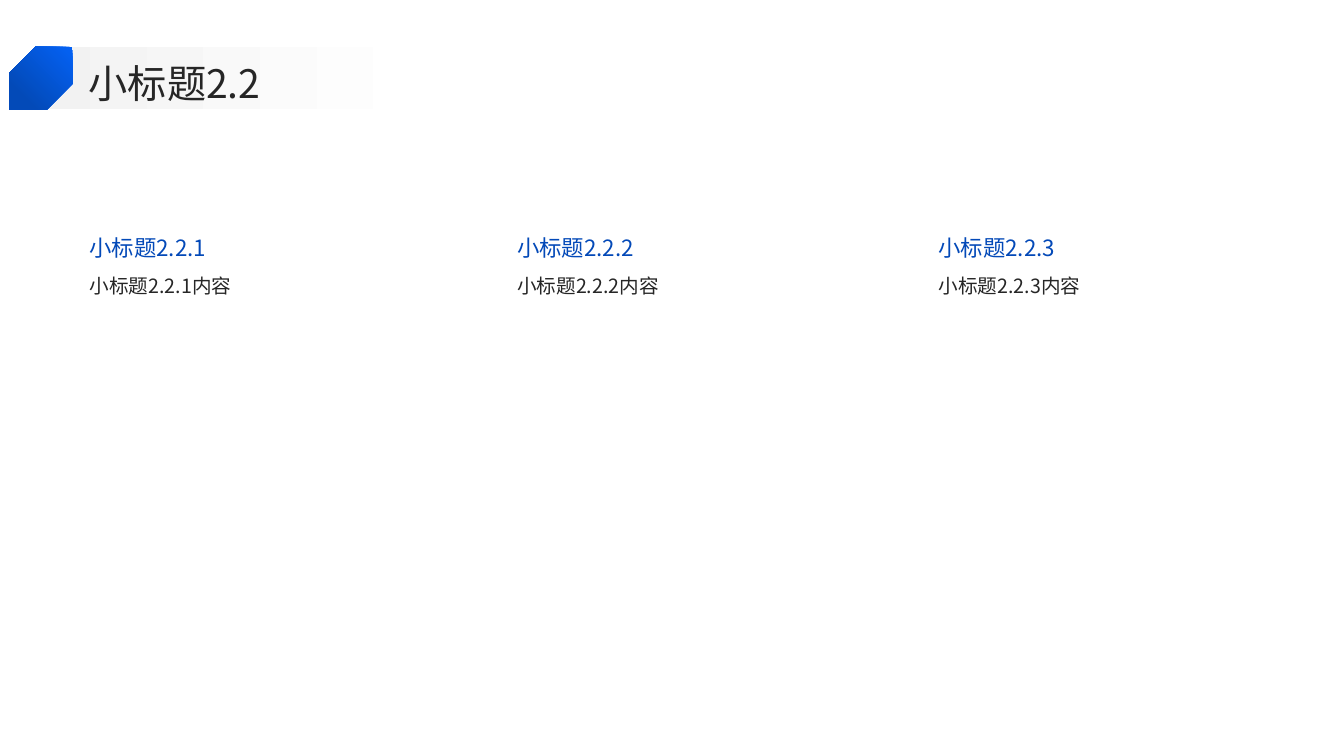
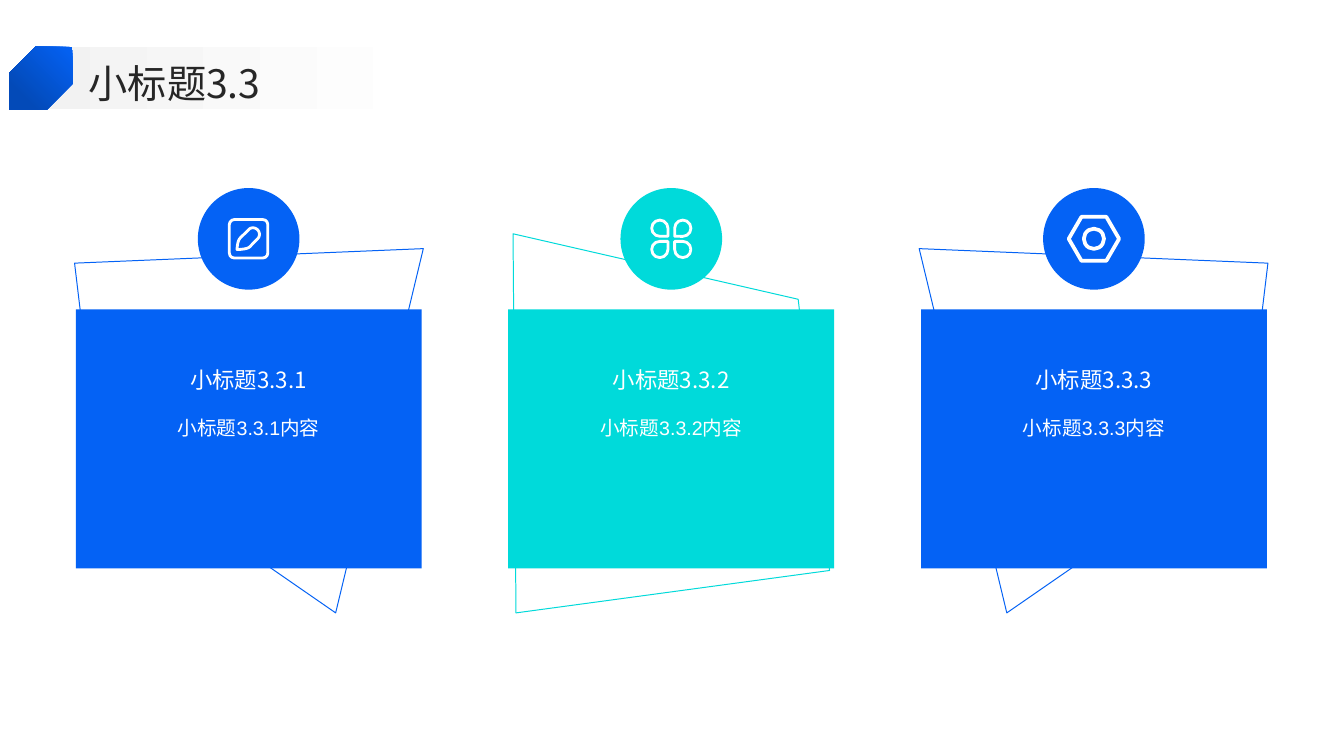
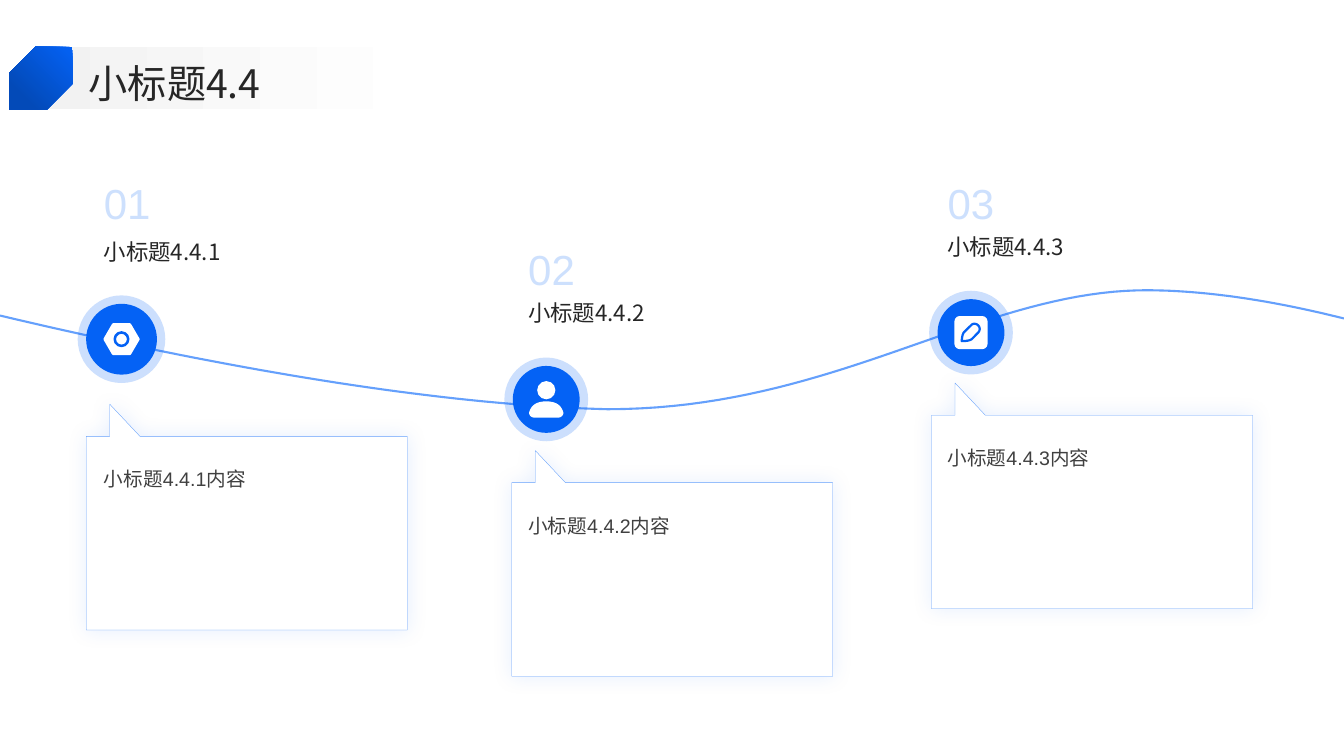
from dataclasses import dataclass
from typing import Callable, NamedTuple, Optional

from pptx import Presentation
from pptx.dml.color import RGBColor
from pptx.enum import shapes, text
from pptx.oxml import parse_xml
from pptx.oxml.ns import nsdecls, qn
from pptx.oxml.xmlchemy import OxmlElement
from pptx.shapes.autoshape import Shape
from pptx.slide import Slide
from pptx.util import Pt

WHITE = RGBColor(0xFF, 0xFF, 0xFF)
BLUE = RGBColor(0x04, 0x62, 0xF5)
DEEP_BLUE = RGBColor(0x03, 0x4A, 0xB8)
HEADING_BLUE = RGBColor(0x03, 0x49, 0xB8)
LINE_BLUE = RGBColor(0x65, 0xA0, 0xFC)
PALE_BLUE = RGBColor(0xCD, 0xE0, 0xFD)
CYAN = RGBColor(0x00, 0xDA, 0xDA)
INK = RGBColor(0x26, 0x26, 0x26)
SOFT_INK = RGBColor(0x40, 0x40, 0x40)
BAND_GREY = RGBColor(0xF2, 0xF2, 0xF2)

CJK = "Noto Sans CJK SC"
LATIN = "Arial"
KIND = shapes.MSO_SHAPE
MIDDLE, BOTTOM = text.MSO_ANCHOR.MIDDLE, text.MSO_ANCHOR.BOTTOM
CENTRE = text.PP_ALIGN.CENTER

Point = tuple[float, float]
Segment = tuple[Point, ...]  # one point: straight; three points: cubic curve


class Box(NamedTuple):
    left: float
    top: float
    width: float
    height: float


class Paint(NamedTuple):
    fill: Optional[RGBColor] = None
    line: Optional[RGBColor] = None
    weight: float = 0


@dataclass(frozen=True)
class TextStyle:
    size: float
    font: str
    colour: RGBColor
    spacing: float = 1.0
    anchor: text.MSO_ANCHOR = text.MSO_ANCHOR.TOP
    align: text.PP_ALIGN = text.PP_ALIGN.LEFT


TITLE = TextStyle(28, CJK, INK, 1.1, MIDDLE)
COLUMN_HEADING = TextStyle(16, CJK, HEADING_BLUE, 1.1, MIDDLE)
COLUMN_BODY = TextStyle(14, CJK, INK, 1.5)
CARD_HEADING = TextStyle(16, CJK, WHITE, 1.3, BOTTOM, CENTRE)
CARD_BODY = TextStyle(14, LATIN, WHITE, 1.5, align=CENTRE)
STEP_NUMBER = TextStyle(30, LATIN, PALE_BLUE)
STEP_HEADING = TextStyle(16, CJK, INK, 1.3)
STEP_BODY = TextStyle(14, LATIN, SOFT_INK, 1.5)


def centred(x: float, y: float, width: float, height: float) -> Box:
    return Box(x - width / 2, y - height / 2, width, height)


def apply_paint(shape: Shape, paint: Paint) -> None:
    shape.shadow.inherit = False
    if paint.fill is None:
        shape.fill.background()
    else:
        shape.fill.solid()
        shape.fill.fore_color.rgb = paint.fill
    if paint.line is None:
        shape.line.fill.background()
    else:
        shape.line.color.rgb = paint.line
        shape.line.width = Pt(paint.weight)


def add_preset(slide: Slide, kind: KIND, box: Box, paint: Paint) -> Shape:
    shape = slide.shapes.add_shape(kind, *map(Pt, box))
    apply_paint(shape, paint)
    return shape


def add_outline(slide: Slide, points: list[Point], paint: Paint, close: bool = True) -> Shape:
    start, *rest = [(Pt(x), Pt(y)) for x, y in points]
    builder = slide.shapes.build_freeform(*start)
    builder.add_line_segments(rest, close=close)
    shape = builder.convert_to_shape()
    apply_paint(shape, paint)
    return shape


def flatten(start: Point, segments: tuple[Segment, ...], steps: int) -> list[Point]:
    """Turn straight and cubic segments into a list of points."""
    points = [start]
    for segment in segments:
        if len(segment) == 1:
            points.append(segment[0])
            continue
        corners = (points[-1], *segment)
        for step in range(1, steps + 1):
            t = step / steps
            weights = ((1 - t) ** 3, 3 * t * (1 - t) ** 2, 3 * t * t * (1 - t), t ** 3)
            x, y = (sum(w * c[axis] for w, c in zip(weights, corners)) for axis in (0, 1))
            points.append((x, y))
    return points


def shifted(points: list[Point], x: float, y: float, scale: float = 1) -> list[Point]:
    return [(x + px * scale, y + py * scale) for px, py in points]


def add_text(slide: Slide, box: Box, words: str, style: TextStyle) -> None:
    frame = slide.shapes.add_textbox(*map(Pt, box)).text_frame
    frame.word_wrap = True
    frame.margin_left = frame.margin_top = frame.margin_right = frame.margin_bottom = 0
    frame.vertical_anchor = style.anchor
    paragraph = frame.paragraphs[0]
    paragraph.text = words
    paragraph.alignment = style.align
    paragraph.line_spacing = style.spacing
    font = paragraph.font
    font.size = Pt(style.size)
    font.color.rgb = style.colour
    font.name = style.font
    if style.font == CJK:
        east_asian = OxmlElement("a:ea")
        east_asian.set("typeface", CJK)
        paragraph._p.pPr.find(qn("a:defRPr")).append(east_asian)


def set_gradient(shape: Shape, first: RGBColor, last: RGBColor, angle: float) -> None:
    shape.fill.gradient()
    shape.fill.gradient_angle = angle
    for stop, colour, position in zip(shape.fill.gradient_stops, (first, last), (0, 0.8)):
        stop.color.rgb = colour
        stop.position = position


def add_header(slide: Slide, title: str) -> None:
    band = add_preset(slide, KIND.RECTANGLE, Box(24, 33.4, 354, 44.6), Paint())
    set_gradient(band, BAND_GREY, WHITE, 0)
    add_text(slide, Box(63.4, 39, 855, 36.7), title, TITLE)
    badge = add_preset(slide, KIND.SNIP_2_DIAG_RECTANGLE, Box(6.9, 33.4, 45, 45), Paint())
    badge.adjustments[0], badge.adjustments[1] = 0, 0.41
    badge._element.spPr.xfrm.set("flipH", "1")
    set_gradient(badge, BLUE, DEEP_BLUE, 315)


# Icons: drawn around a centre; a solid icon is white with blue details.

PENCIL = flatten((3, -7.9), (
    ((4.3, -7.9), (5.4, -7.4), (6.4, -6.5)),
    ((8.2, -4.7), (8.2, -1.8), (6.4, 0)),
    ((0.7, 5.8),),
    ((-1, 7.2), (-5, 7.6), (-8.3, 7.6)),
    ((-8, 3.5), (-7.4, 0.7), (-5.8, -0.8)),
    ((0, -6.5),),
    ((0.8, -7.4), (1.9, -7.9), (3, -7.9)),
), 8)
SHOULDERS = flatten((0, 1.4), (
    ((7.9, 1.4), (10.8, 5), (12, 8.6)),
    ((13, 10.8), (10.8, 13), (8.6, 13)),
    ((-8.6, 13),),
    ((-10.8, 13), (-13, 10.8), (-12, 8.6)),
    ((-10.8, 5), (-7.9, 1.4), (0, 1.4)),
), 10)


def icon_paints(solid: bool, weight: float) -> tuple[Paint, Paint]:
    """Paints of an icon's body and of the detail inside it."""
    return (Paint(WHITE if solid else None, WHITE, weight),
            Paint(None, BLUE if solid else WHITE, weight))


def add_edit_icon(slide: Slide, x: float, y: float, scale: float = 1, solid: bool = False) -> None:
    body, detail = icon_paints(solid, 2 * scale)
    side = 27.5 * scale
    page = add_preset(slide, KIND.ROUNDED_RECTANGLE, centred(x, y, side, side), body)
    page.adjustments[0] = 0.13
    add_outline(slide, shifted(PENCIL, x, y, scale), detail)


def add_nut_icon(slide: Slide, x: float, y: float, scale: float = 1, solid: bool = False) -> None:
    body, detail = icon_paints(solid, 2.7 * scale)
    nut = add_preset(slide, KIND.HEXAGON, centred(x, y, 36 * scale, 31.4 * scale), body)
    nut.adjustments[0] = 0.29
    add_preset(slide, KIND.OVAL, centred(x, y, 14.4 * scale, 14.4 * scale), detail)


def add_petals_icon(slide: Slide, x: float, y: float) -> None:
    directions = ((-1, 1), (-1, -1), (1, -1), (1, 1))
    for quarter, (across, down) in enumerate(directions):
        box = centred(x + 8.2 * across, y + 7.6 * down, 11.6, 11.6)
        petal = add_preset(slide, KIND.TEAR, box, Paint(None, WHITE, 2))
        petal.rotation = 90 * quarter


def add_person_icon(slide: Slide, x: float, y: float) -> None:
    add_preset(slide, KIND.OVAL, centred(x, y - 6.6, 13, 13), Paint(WHITE))
    add_outline(slide, shifted(SHOULDERS, x, y), Paint(WHITE))


def build_columns(slide: Slide) -> None:
    for number, left in enumerate((64, 369.4, 670.3), 1):
        heading = f"小标题2.2.{number}"
        add_text(slide, Box(left, 187.2, 234.7, 270), f"{heading}内容", COLUMN_BODY)
        add_text(slide, Box(left, 162, 234.7, 28), heading, COLUMN_HEADING)
    add_header(slide, "小标题2.2")


class Card(NamedTuple):
    left: float
    width: float
    colour: RGBColor
    frame: list[Point]
    add_icon: Callable[..., None]


SIDE_FRAME = [(239.8, 437.8), (69.1, 319.7), (53.3, 188), (302.4, 177.6)]
MIDDLE_FRAME = [(592.6, 407.5), (368.6, 437.8), (366.5, 167), (570.2, 213.8)]
CARDS = (
    Card(54.2, 247, BLUE, SIDE_FRAME, add_edit_icon),
    Card(362.9, 233, CYAN, MIDDLE_FRAME, add_petals_icon),
    Card(658, 247, BLUE, [(959 - x, y) for x, y in SIDE_FRAME], add_nut_icon),
)


def build_cards(slide: Slide) -> None:
    for index, card in enumerate(CARDS):
        middle = 177.6 + 301.9 * index
        text_left = middle - 102
        heading = f"小标题3.3.{index + 1}"
        add_outline(slide, card.frame, Paint(None, card.colour, 0.7))
        add_preset(slide, KIND.RECTANGLE, Box(card.left, 221, card.width, 185), Paint(card.colour))
        add_preset(slide, KIND.OVAL, centred(middle, 170.6, 72.6, 72.6), Paint(card.colour))
        add_text(slide, Box(text_left, 229, 204, 51.8), heading, CARD_HEADING)
        add_text(slide, Box(text_left, 288.8, 204, 107), f"{heading}内容", CARD_BODY)
        card.add_icon(slide, middle, 170.6)
    add_header(slide, "小标题3.3")


class Step(NamedTuple):
    text_left: float
    number_top: float
    heading_top: float
    marker: Point
    halo: float
    callout: Point


STEPS = (
    Step(74.2, 126.5, 164.2, (86.8, 242.3), 62.6, (61.6, 288.7)),
    Step(377.3, 174.3, 208.1, (390.2, 285.3), 59.8, (365.5, 321.8)),
    Step(676.8, 126.5, 160.6, (693.6, 237.6), 59.8, (665.4, 273.6)),
)
CALLOUT = [(16.8, 0), (38.4, 23), (229.3, 23), (229.3, 161.3), (0, 161.3), (0, 23), (16.8, 23)]
WAVE = flatten((0, 225.4), (
    ((157.7, 262.8), (312.5, 289.4), (434.2, 292.3)),
    ((594, 292.3), (697, 210.2), (812.9, 207.4)),
    ((859.7, 206.6), (911.5, 215.3), (960, 227.5)),
), 40)


def add_glow(shape: Shape) -> None:
    """Soft blue shadow on all sides."""
    effects = shape._element.spPr.find(qn("a:effectLst"))
    effects.append(parse_xml(
        f'<a:outerShdw {nsdecls("a")} blurRad="{Pt(15)}" dist="0" dir="0" algn="ctr" '
        f'rotWithShape="0"><a:srgbClr val="{BLUE}"><a:alpha val="10000"/></a:srgbClr>'
        '</a:outerShdw>'))


def make_translucent(shape: Shape, percent: int) -> None:
    alpha = OxmlElement("a:alpha")
    alpha.set("val", str(percent * 1000))
    shape._element.spPr.find(qn("a:solidFill"))[0].append(alpha)


def build_timeline(slide: Slide) -> None:
    add_outline(slide, WAVE, Paint(None, LINE_BLUE, 1.5), close=False)
    for number, step in enumerate(STEPS, 1):
        heading = f"小标题4.4.{number}"
        left, disc = step.text_left, step.halo - 12
        callout = add_outline(slide, shifted(CALLOUT, *step.callout), Paint(WHITE, LINE_BLUE, 0.25))
        add_glow(callout)
        add_text(slide, Box(left, step.number_top, 60, 36), f"{number:02}", STEP_NUMBER)
        add_text(slide, Box(left, step.heading_top, 240, 24.5), heading, STEP_HEADING)
        halo = add_preset(slide, KIND.OVAL, centred(*step.marker, step.halo, step.halo), Paint(BLUE))
        make_translucent(halo, 20)
        add_preset(slide, KIND.OVAL, centred(*step.marker, disc, disc), Paint(BLUE))
        add_text(slide, Box(left, step.callout[1] + 36.7, 206, 116), f"{heading}内容", STEP_BODY)
    add_nut_icon(slide, *STEPS[0].marker, scale=0.67, solid=True)
    add_person_icon(slide, *STEPS[1].marker)
    add_edit_icon(slide, *STEPS[2].marker, scale=0.8, solid=True)
    add_header(slide, "小标题4.4")


def main() -> None:
    deck = Presentation()
    deck.slide_width, deck.slide_height = Pt(960), Pt(540)
    for build in (build_columns, build_cards, build_timeline):
        build(deck.slides.add_slide(deck.slide_layouts[6]))
    deck.save("out.pptx")


if __name__ == "__main__":
    main()
